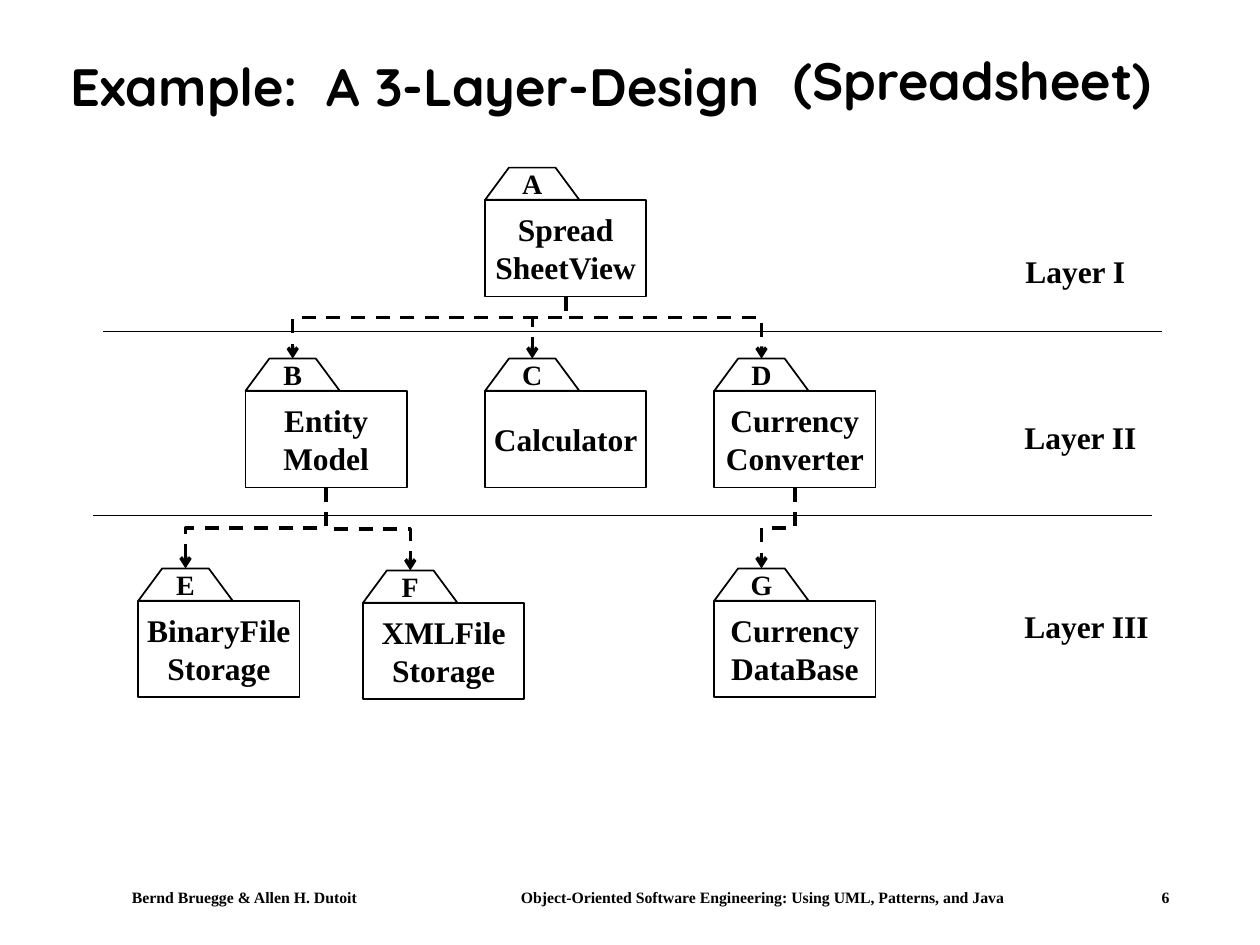
from dataclasses import dataclass

from lxml import etree
from pptx import Presentation
from pptx.dml.color import RGBColor
from pptx.enum.dml import MSO_LINE
from pptx.enum.shapes import MSO_CONNECTOR as CONN, MSO_SHAPE as SHAPE
from pptx.enum.text import MSO_ANCHOR as ANCHOR, MSO_AUTO_SIZE as AUTO, PP_ALIGN as ALIGN
from pptx.oxml.ns import qn
from pptx.util import Cm, Pt


@dataclass(frozen=True)
class Theme:
    ink: RGBColor = RGBColor(0, 0, 0)
    paper: RGBColor = RGBColor(255, 255, 255)
    display: str = "Quicksand"
    body: str = "Times New Roman"
    title: Pt = Pt(30)
    text: Pt = Pt(18)
    letter: Pt = Pt(16)
    footer: Pt = Pt(9)
    thin: Pt = Pt(1)
    thick: Pt = Pt(2)


THEME = Theme()
BODY_W, BODY_H = 3.25, 1.95
TAB_W, TAB_H, TAB_SLANT = 1.9, 0.65, 0.48

PACKAGES = {
    "A": (9.78, 4.03, "Spread\vSheetView"),
    "B": (4.95, 7.88, "Entity\nModel"),
    "C": (9.78, 7.88, "Calculator"),
    "D": (14.4, 7.88, "Currency\nConverter"),
    "E": (2.79, 12.11, "BinaryFile\vStorage"),
    "F": (7.32, 12.15, "XMLFile\vStorage"),
    "G": (14.4, 12.11, "Currency\vDataBase"),
}
DEPENDENCIES = [("A", "BCD", 0.34), ("D", "G", 0.5), ("B", "FE", 0.5)]
SEPARATORS = [(2.08, 6.68), (1.88, 10.39)]
SEPARATOR_W = 21.34
LAYERS = [
    ("Layer I", 20.42, 4.95, 2.54),
    ("Layer II", 20.4, 8.31, 2.77),
    ("Layer III", 20.4, 12.12, 3.02),
]


def apply(target, values):
    for name, value in values.items():
        setattr(target, name, value)


def write(sp, text, size, font=THEME.body, align=ALIGN.LEFT, tabs=(), **frame):
    tf = sp.text_frame
    apply(tf, {"word_wrap": False, **frame})
    tf.text = text
    for p in tf.paragraphs:
        p.alignment = align
        if tabs:
            tab_list = etree.SubElement(p._p.get_or_add_pPr(), qn("a:tabLst"))
            for pos in tabs:
                etree.SubElement(tab_list, qn("a:tab"), pos=str(Cm(pos)), algn="l")
        for r in p.runs:
            apply(r.font, {"size": size, "name": font, "bold": True})
            r.font.color.rgb = THEME.ink
    return tf


def add_text(s, box, text, size, **options):
    sp = s.shapes.add_textbox(*map(Cm, box))
    return write(sp, text, size, **options)


def outline(sp):
    sp.shadow.inherit = False
    sp.fill.solid()
    sp.fill.fore_color.rgb = THEME.paper
    sp.line.color.rgb = THEME.ink
    sp.line.width = THEME.thin


def add_package(s, letter, x, y, name):
    points = [
        (x, y),
        (x + TAB_SLANT, y - TAB_H),
        (x + TAB_W - TAB_SLANT, y - TAB_H),
        (x + TAB_W, y),
    ]
    start, *rest = [(Cm(px), Cm(py)) for px, py in points]
    builder = s.shapes.build_freeform(*start, scale=1.0)
    builder.add_line_segments(rest, close=True)
    tab = builder.convert_to_shape()
    body = s.shapes.add_shape(SHAPE.RECTANGLE, Cm(x), Cm(y), Cm(BODY_W), Cm(BODY_H))
    centred = {"align": ALIGN.CENTER, "vertical_anchor": ANCHOR.MIDDLE}
    for sp in (tab, body):
        outline(sp)
    write(tab, letter, THEME.letter, margin_top=0, margin_bottom=0, **centred)
    write(body, name, THEME.text, **centred)


def add_line(s, kind, x1, y1, x2, y2, width):
    cxn = s.shapes.add_connector(kind, Cm(x1), Cm(y1), Cm(x2), Cm(y2))
    cxn.line.color.rgb = THEME.ink
    cxn.line.width = width
    etree.SubElement(cxn._element.spPr, qn("a:effectLst"))
    return cxn


def add_dependency(s, source, target, bend):
    sx, sy, _ = PACKAGES[source]
    tx, ty, _ = PACKAGES[target]
    x1, y1 = sx + BODY_W / 2, sy + BODY_H
    x2, y2 = tx + TAB_W / 2, ty - TAB_H
    run, drop = abs(x2 - x1), y2 - y1
    left, top = (x1 + x2 - drop) / 2, (y1 + y2 - run) / 2
    cxn = add_line(s, CONN.ELBOW, left, top, left + drop, top + run, THEME.thick)
    cxn.line.dash_style = MSO_LINE.DASH
    etree.SubElement(cxn.line._get_or_add_ln(), qn("a:tailEnd"), type="arrow")
    sp_pr = cxn._element.spPr
    xfrm = sp_pr.find(qn("a:xfrm"))
    xfrm.set("rot", str((90 if x2 < x1 else 270) * 60000))
    if x2 > x1:
        xfrm.set("flipH", "1")
    guides = sp_pr.find(qn("a:prstGeom")).find(qn("a:avLst"))
    etree.SubElement(guides, qn("a:gd"), name="adj1", fmla=f"val {round(bend * 100000)}")


def add_title(s):
    look = {"font": THEME.display, "vertical_anchor": ANCHOR.MIDDLE}
    tf = add_text(s, (1.17, 0.61, 22.66, 2.39), "Example:\tA 3-Layer-Design",
                  THEME.title, tabs=[5.17], word_wrap=True, **look)
    tf.paragraphs[0].line_spacing = 0.9
    add_text(s, (15.7, 0.84, 7.82, 1.52), "(Spreadsheet)", THEME.title,
             align=ALIGN.CENTER, auto_size=AUTO.SHAPE_TO_FIT_TEXT, **look)


def add_footer(s):
    parts = [
        "Bernd Bruegge & Allen H. Dutoit",
        "Object-Oriented Software Engineering: Using UML, Patterns, and Java",
        "6",
    ]
    add_text(s, (1.47, 17.78, 23.29, 0.64), "\t".join(parts), THEME.footer,
             tabs=[7.84, 20.76], word_wrap=True, margin_left=Cm(1.19))


def main():
    prs = Presentation()
    prs.slide_width, prs.slide_height = Cm(25.4), Cm(19.05)
    s = prs.slides.add_slide(prs.slide_layouts[6])
    add_footer(s)
    add_title(s)
    for x, y in SEPARATORS:
        add_line(s, CONN.STRAIGHT, x, y, x + SEPARATOR_W, y, THEME.thin)
    for label, x, y, width in LAYERS:
        add_text(s, (x, y, width, 1.02), label, THEME.text,
                 auto_size=AUTO.SHAPE_TO_FIT_TEXT)
    for source, targets, bend in DEPENDENCIES:
        for target in targets:
            add_dependency(s, source, target, bend)
    for letter, (x, y, name) in PACKAGES.items():
        add_package(s, letter, x, y, name)
    prs.save("out.pptx")


if __name__ == "__main__":
    main()
